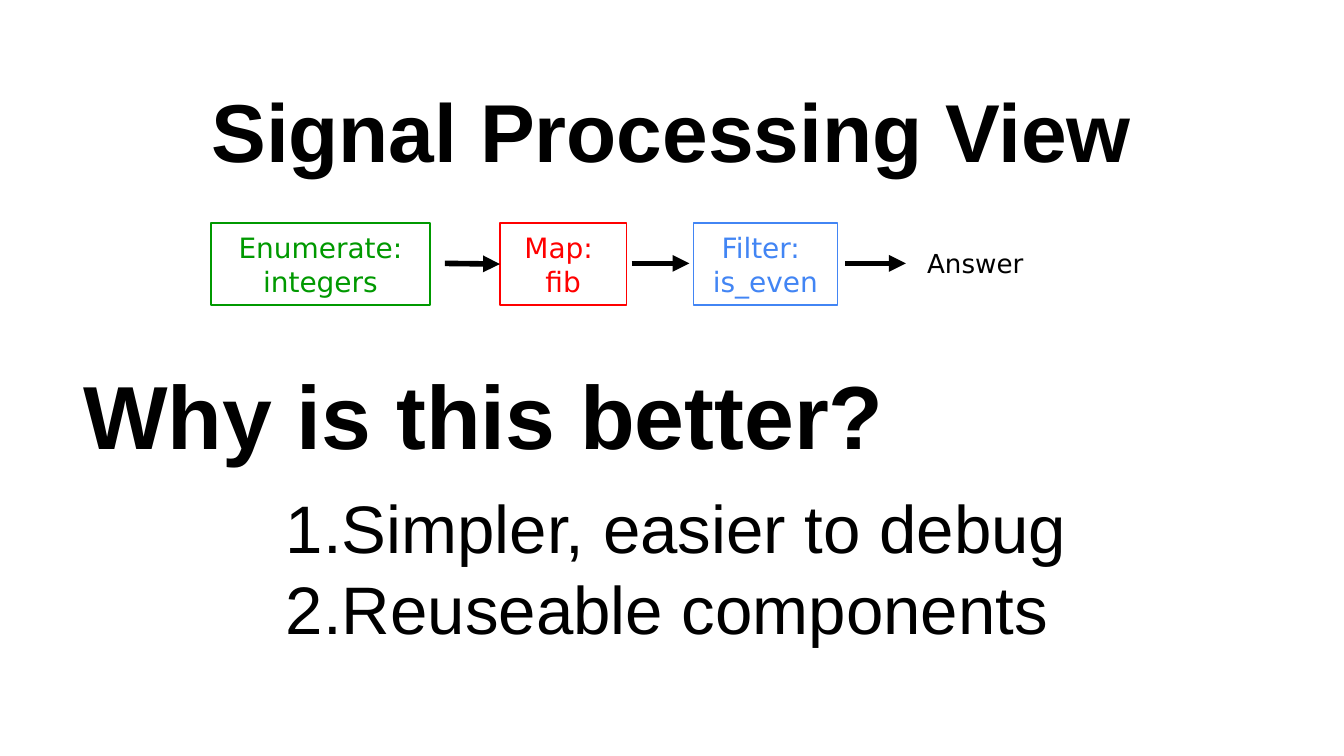
import pptx
import pptx.dml.color
import pptx.enum.shapes
import pptx.enum.text
import pptx.oxml.ns
import pptx.util
from lxml import etree

BLACK = "000000"
WIDTH = 10
HEIGHT = WIDTH * 9 / 16
BOX_TOP, BOX_HEIGHT = 1.66, 0.61
ARROW_Y = 1.96
ALIGN = pptx.enum.text.PP_ALIGN
ANCHOR = pptx.enum.text.MSO_ANCHOR
STAGES = [
    (1.57, 1.63, "Enumerate: integers", "009900"),
    (3.72, 0.94, "Map: \nfib", "FF0000"),
    (5.16, 1.07, "Filter: \nis_even", "4285F4"),
]


def inches(*values):
    """Convert numbers to inch lengths."""
    return [pptx.util.Inches(v) for v in values]


def color(value):
    """Turn a hex string into a colour."""
    return pptx.dml.color.RGBColor.from_string(value)


def add_xml(parent, tag, **attributes):
    """Append a drawing element to a parent."""
    return etree.SubElement(parent, pptx.oxml.ns.qn(tag), **attributes)


def write(sp, text, size, font="Arial", hex_color=BLACK, bold=False,
          align=ALIGN.LEFT, anchor=ANCHOR.TOP, inset=0.1):
    """Fill a shape with text in one format."""
    tf = sp.text_frame
    tf.text = text
    tf.word_wrap = True
    tf.auto_size = pptx.enum.text.MSO_AUTO_SIZE.NONE
    tf.vertical_anchor = anchor
    tf.margin_left, tf.margin_right = inches(0.1, 0.1)
    tf.margin_top, tf.margin_bottom = inches(inset, inset)
    for p in tf.paragraphs:
        p.alignment = align
        for r in p.runs:
            r.font.name = font
            r.font.size = pptx.util.Pt(size)
            r.font.bold = bold
            r.font.color.rgb = color(hex_color)


def add_title(s, text):
    """Place and format the title."""
    sp = s.shapes.title
    sp.left, sp.top, sp.width, sp.height = inches(0.34, 0.5, 9.32, 0.89)
    write(sp, text, 44, bold=True, align=ALIGN.CENTER)


def add_text(s, box, text, size, **style):
    """Add a text box and return it."""
    sp = s.shapes.add_textbox(*inches(*box))
    write(sp, text, size, **style)
    return sp


def add_stage(s, left, width, text, hex_color):
    """Add an outlined pipeline stage."""
    sp = s.shapes.add_shape(pptx.enum.shapes.MSO_SHAPE.RECTANGLE,
                            *inches(left, BOX_TOP, width, BOX_HEIGHT))
    sp.shadow.inherit = False
    sp.fill.background()
    sp.line.color.rgb = color(hex_color)
    sp.line.width = pptx.util.Pt(0.75)
    write(sp, text, 15, "DejaVu Sans", hex_color, align=ALIGN.CENTER,
          anchor=ANCHOR.MIDDLE, inset=0.05)
    return sp


def add_arrow(s, start, end):
    """Add a horizontal arrow along the pipeline."""
    arrow = s.shapes.add_connector(pptx.enum.shapes.MSO_CONNECTOR.STRAIGHT,
                                   *inches(start, ARROW_Y, end, ARROW_Y))
    arrow.line.color.rgb = color(BLACK)
    arrow.line.width = pptx.util.Pt(3)
    line = arrow._element.spPr.find(pptx.oxml.ns.qn("a:ln"))
    add_xml(line, "a:tailEnd", type="triangle")
    add_xml(arrow._element.spPr, "a:effectLst")
    return arrow


def number_paragraphs(sp):
    """Number the paragraphs with a hanging indent."""
    indent = pptx.util.Inches(0.38)
    for p in sp.text_frame.paragraphs:
        pPr = p._p.get_or_add_pPr()
        pPr.set("marL", str(indent))
        pPr.set("indent", str(-indent))
        add_xml(add_xml(pPr, "a:buClr"), "a:srgbClr", val=BLACK)
        add_xml(pPr, "a:buFont", typeface="Arial")
        add_xml(pPr, "a:buAutoNum", type="arabicPeriod")


def main():
    """Build the slide and save it."""
    prs = pptx.Presentation()
    prs.slide_width, prs.slide_height = inches(WIDTH, HEIGHT)
    s = prs.slides.add_slide(prs.slide_layouts[5])
    add_title(s, "Signal Processing View")
    stages = [add_stage(s, *stage) for stage in STAGES]
    arrows = [add_arrow(s, *ends)
              for ends in [(3.31, 3.72), (4.7, 5.13), (6.29, 6.74)]]
    arrows[0].end_connect(stages[1], 1)
    add_text(s, (6.8, 1.79, 1.63, 0.34), "Answer", 14,
             font="DejaVu Sans", inset=0.05)
    add_text(s, (0.21, 2.87, 6.78, 0.71), "Why is this better?", 48,
             bold=True, align=ALIGN.CENTER, anchor=ANCHOR.BOTTOM)
    reasons = add_text(s, (2.03, 3.57, 6.4, 1.31),
                       "Simpler, easier to debug\nReuseable components", 36,
                       inset=0.05)
    number_paragraphs(reasons)
    prs.save("out.pptx")


if __name__ == "__main__":
    main()
